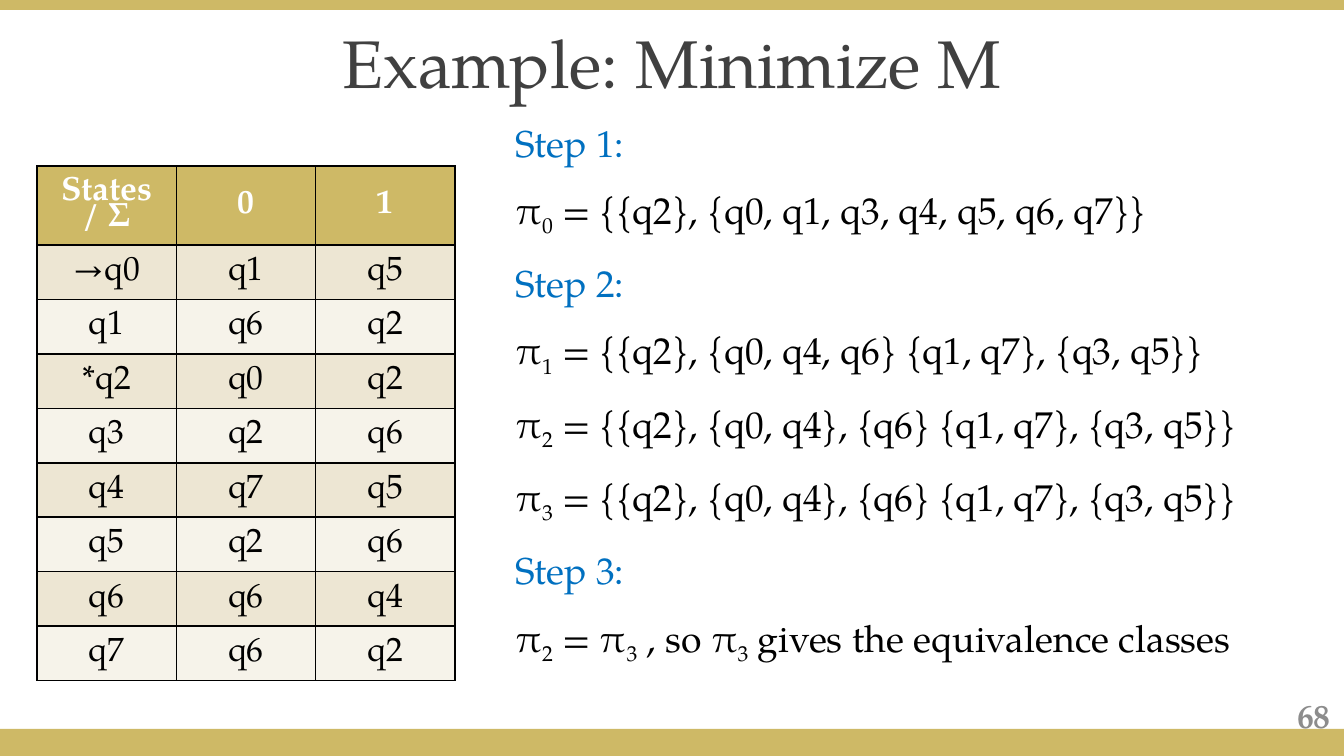
from lxml import etree
from pptx import Presentation
from pptx.dml.color import RGBColor
from pptx.enum.shapes import MSO_SHAPE
from pptx.enum.text import MSO_ANCHOR, MSO_AUTO_SIZE, PP_ALIGN
from pptx.oxml.ns import qn
from pptx.util import Emu, Pt

RECTANGLE = MSO_SHAPE.RECTANGLE
MIDDLE, TOP = MSO_ANCHOR.MIDDLE, MSO_ANCHOR.TOP
LEFT, CENTER, RIGHT = PP_ALIGN.LEFT, PP_ALIGN.CENTER, PP_ALIGN.RIGHT
NO_AUTOFIT = MSO_AUTO_SIZE.NONE

FONT = "TeX Gyre Pagella"
GOLD = RGBColor(0xCE, 0xB9, 0x66)
DARK_BAND = RGBColor(0xED, 0xE6, 0xD3)
LIGHT_BAND = RGBColor(0xF6, 0xF3, 0xEA)
WHITE = RGBColor(0xFF, 0xFF, 0xFF)
BLACK = RGBColor(0, 0, 0)
TITLE_GRAY = RGBColor(0x40, 0x40, 0x40)
NUMBER_GRAY = RGBColor(0x8C, 0x8C, 0x8C)
BLUE = RGBColor(0x00, 0x70, 0xC0)

EMU_PER_PX = 914400 / 134.4


def px(*lengths):
    return [Emu(round(length * EMU_PER_PX)) for length in lengths]


def style(paragraph, size, color, alignment, bold=False):
    paragraph.alignment = alignment
    font = paragraph.font
    font.name, font.size, font.bold = FONT, Pt(size), bold
    font.color.rgb = color


presentation = Presentation()
presentation.slide_width, presentation.slide_height = px(1344, 756)
slide = presentation.slides.add_slide(presentation.slide_layouts[1])
title, steps = slide.placeholders

# Gold bands at the top and bottom
for top, height in ((729, 27), (0, 10)):
    band = slide.shapes.add_shape(RECTANGLE, *px(0, top, 1344, height))
    band.shadow.inherit = False
    band.fill.solid()
    band.fill.fore_color.rgb = GOLD
    band.line.fill.background()

# Title
title.left, title.top, title.width, title.height = px(0, 19, 1344, 85)
title.text_frame.text = "Example: Minimize M"
title.text_frame.auto_size = NO_AUTOFIT
title.text_frame.vertical_anchor = MIDDLE
style(title.text_frame.paragraphs[0], 36, TITLE_GRAY, CENTER)

# Slide number
number = slide.shapes.add_textbox(*px(1031, 695, 313, 40))
number.text_frame.text = "68"
number.text_frame.word_wrap = True
number.text_frame.vertical_anchor = MIDDLE
style(number.text_frame.paragraphs[0], 18, NUMBER_GRAY, RIGHT, bold=True)

# Transition table
transitions = [
    ("States / Σ", "0", "1"),
    ("→q0", "q1", "q5"),
    ("q1", "q6", "q2"),
    ("*q2", "q0", "q2"),
    ("q3", "q2", "q6"),
    ("q4", "q7", "q5"),
    ("q5", "q2", "q6"),
    ("q6", "q6", "q4"),
    ("q7", "q6", "q2"),
]
table = slide.shapes.add_table(len(transitions), 3, *px(37, 166, 418, 515)).table
for row_index, values in enumerate(transitions):
    is_header = row_index == 0
    table.rows[row_index].height = px(79 if is_header else 54.5)[0]
    for column_index, value in enumerate(values):
        cell = table.cell(row_index, column_index)
        cell.text = value
        cell.vertical_anchor = MIDDLE
        paragraph = cell.text_frame.paragraphs[0]
        paragraph.line_spacing = 0.8
        style(paragraph, 18, WHITE if is_header else BLACK, CENTER, is_header)
        # Black borders come before the fill in the cell properties
        properties = cell._tc.get_or_add_tcPr()
        for side in ("a:lnL", "a:lnR", "a:lnT", "a:lnB"):
            border = etree.SubElement(properties, qn(side), w=str(Pt(1)))
            border_fill = etree.SubElement(border, qn("a:solidFill"))
            etree.SubElement(border_fill, qn("a:srgbClr"), val=str(BLACK))
        cell.fill.solid()
        cell.fill.fore_color.rgb = (
            GOLD if is_header else DARK_BAND if row_index % 2 else LIGHT_BAND)

# Minimization steps; the character after "_" is a subscript
step_lines = [
    "Step 1:",
    "π_0 = {{q2}, {q0, q1, q3, q4, q5, q6, q7}}",
    "Step 2:",
    "π_1 = {{q2}, {q0, q4, q6} {q1, q7}, {q3, q5}}",
    "π_2 = {{q2}, {q0, q4}, {q6} {q1, q7}, {q3, q5}}",
    "π_3 = {{q2}, {q0, q4}, {q6} {q1, q7}, {q3, q5}}",
    "Step 3:",
    "π_2 = π_3 , so π_3 gives the equivalence classes",
]
steps.left, steps.top, steps.width, steps.height = px(502, 113, 815, 534)
frame = steps.text_frame
frame.auto_size = NO_AUTOFIT
frame.vertical_anchor = TOP
for index, line in enumerate(step_lines):
    paragraph = frame.add_paragraph() if index else frame.paragraphs[0]
    style(paragraph, 20, BLUE if line.startswith("Step") else BLACK, LEFT)
    paragraph.space_before, paragraph.space_after = Pt(0), Pt(12)
    properties = paragraph._p.get_or_add_pPr()
    properties.set("marL", "0")
    properties.set("indent", "0")
    bullet = etree.Element(qn("a:buNone"))
    properties.find(qn("a:defRPr")).addprevious(bullet)
    first, *rest = line.split("_")
    paragraph.add_run().text = first
    for part in rest:
        subscript = paragraph.add_run()
        subscript.text = part[0]
        subscript._r.get_or_add_rPr().set("baseline", "-25000")
        paragraph.add_run().text = part[1:]

presentation.save("out.pptx")
